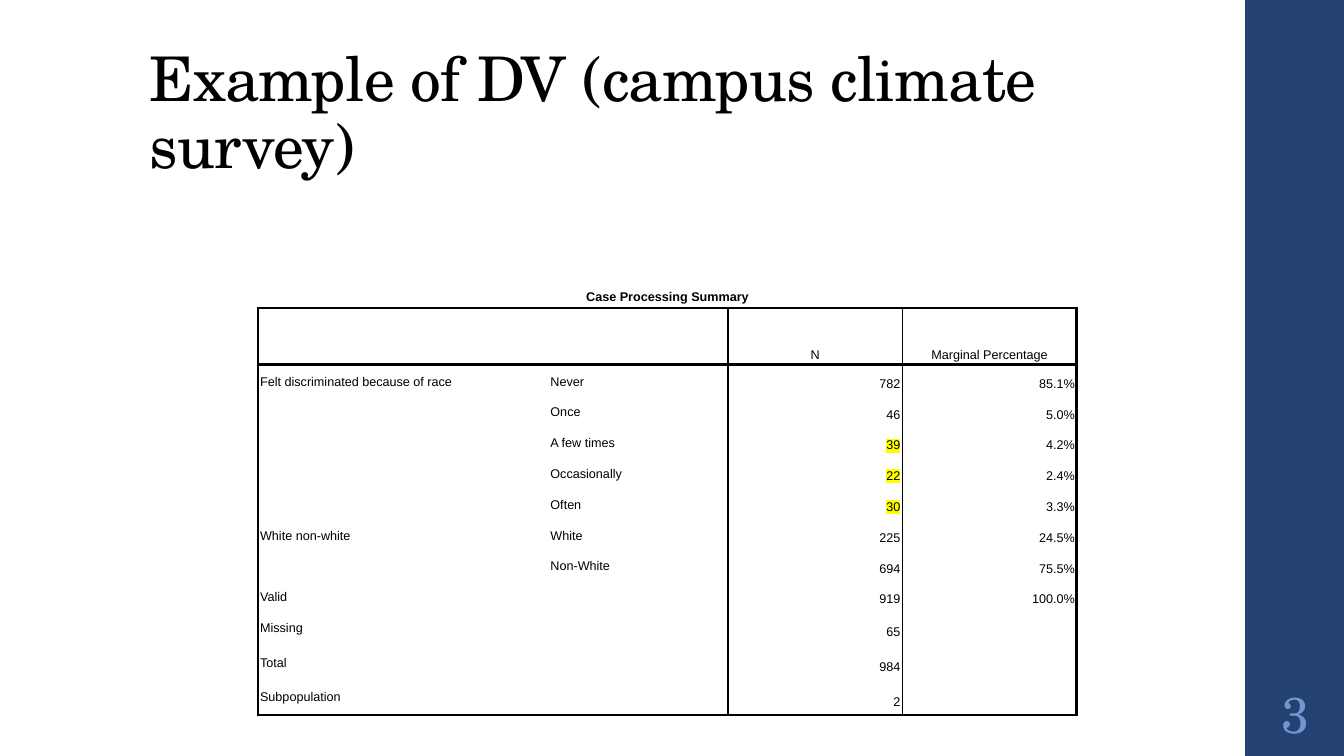
"""Build the slide with the case processing summary of the campus climate survey."""
from lxml.etree import SubElement
from pptx import Presentation
from pptx.dml.color import RGBColor
from pptx.enum.shapes import MSO_SHAPE as Shape
from pptx.enum.text import MSO_ANCHOR as Anchor, MSO_AUTO_SIZE as AutoSize, PP_ALIGN as Align
from pptx.oxml.ns import qn
from pptx.util import Inches, Pt

SERIF = "TeX Gyre Schola"
COLUMN_WIDTHS = [2.88, 1.78, 1.73, 1.73]
TABLE_HEIGHT, HEADER_HEIGHT = 4.23, 0.56
COLUMN_RULES = [2.25, 0, 2.25, 1, 2.25]
ROW_RULES = {1: 2.25, 2: 2.25, 13: 2.25}
ROWS = [
    ["Case Processing Summary", "", "", ""],
    ["", "", "N", "Marginal Percentage"],
    ["Felt discriminated because of race", "Never", "782", "85.1%"],
    ["", "Once", "46", "5.0%"],
    ["", "A few times", "39", "4.2%"],
    ["", "Occasionally", "22", "2.4%"],
    ["", "Often", "30", "3.3%"],
    ["White non-white", "White", "225", "24.5%"],
    ["", "Non-White", "694", "75.5%"],
    ["Valid", "", "919", "100.0%"],
    ["Missing", "", "65", ""],
    ["Total", "", "984", ""],
    ["Subpopulation", "", "2", ""],
]
HIGHLIGHTED = ["39", "22", "30"]
MERGES = [(0, 0, 0, 3), (2, 0, 6, 0), (7, 0, 8, 0)] + [(row, 0, row, 1) for row in range(9, 13)]


def style(paragraph, size, font, color, align, bold=False):
    paragraph.alignment = align
    for run in paragraph.runs:
        run.font.size, run.font.name, run.font.bold = Pt(size), font, bold
        run.font.color.rgb = RGBColor.from_string(color)


def add_border(cell, side, width):
    line = SubElement(cell._tc.get_or_add_tcPr(), qn(f"a:ln{side}"), w=str(Pt(width)))
    if width:
        fill = SubElement(line, qn("a:solidFill"))
        SubElement(fill, qn("a:srgbClr"), val="000000")
    else:
        SubElement(line, qn("a:noFill"))


prs = Presentation()
prs.slide_width, prs.slide_height = Inches(13.33), Inches(7.5)
slide = prs.slides.add_slide(prs.slide_layouts[5])

sidebar = slide.shapes.add_shape(Shape.RECTANGLE, Inches(12.35), 0, Inches(1), Inches(7.5))
sidebar.shadow.inherit = False
sidebar.fill.solid()
sidebar.fill.fore_color.rgb = RGBColor.from_string("234271")
sidebar.line.fill.background()

title = slide.shapes.title
title.left, title.top, title.width, title.height = Inches(1.38), Inches(0.4), Inches(10.6), Inches(1.45)
title.text_frame.text = "Example of DV (campus climate survey)"
title.text_frame.auto_size = AutoSize.NONE
title.text_frame.vertical_anchor = Anchor.BOTTOM
heading = title.text_frame.paragraphs[0]
heading.line_spacing = 0.9
style(heading, 44, SERIF, "000000", Align.LEFT)
heading.runs[0].font._element.set("spc", "-50")

summary = slide.shapes.add_table(
    len(ROWS), len(COLUMN_WIDTHS), Inches(2.56), Inches(2.75),
    Inches(sum(COLUMN_WIDTHS)), Inches(TABLE_HEIGHT)).table
summary.first_row = summary.horz_banding = False
for column, width in zip(summary.columns, COLUMN_WIDTHS):
    column.width = Inches(width)
for row in summary.rows:
    row.height = Inches((TABLE_HEIGHT - HEADER_HEIGHT) / (len(ROWS) - 1))
summary.rows[1].height = Inches(HEADER_HEIGHT)
for top, left, bottom, right in MERGES:
    summary.cell(top, left).merge(summary.cell(bottom, right))

for r, texts in enumerate(ROWS):
    for c, text in enumerate(texts):
        cell = summary.cell(r, c)
        cell.margin_left = cell.margin_right = cell.margin_top = cell.margin_bottom = Inches(0.02)
        if r == 0:
            align, anchor = Align.CENTER, Anchor.MIDDLE
        elif r == 1:
            align, anchor = Align.CENTER, Anchor.BOTTOM
        elif c < 2:
            align, anchor = Align.LEFT, Anchor.TOP
        else:
            align, anchor = Align.RIGHT, Anchor.MIDDLE
        cell.vertical_anchor = anchor
        cell.text_frame.text = text
        paragraph = cell.text_frame.paragraphs[0]
        paragraph.line_spacing = Pt(16)
        style(paragraph, 9, "Arial", "000000", align, bold=r == 0)
        if c == 2 and text in HIGHLIGHTED:
            properties = paragraph.runs[0].font._element
            highlight = SubElement(properties, qn("a:highlight"))
            SubElement(highlight, qn("a:srgbClr"), val="FFFF00")
            properties.find(qn("a:latin")).addprevious(highlight)
        end = c + (cell.span_width if cell.is_merge_origin else 1)
        add_border(cell, "L", COLUMN_RULES[c] if r else 0)
        add_border(cell, "R", COLUMN_RULES[end] if r else 0)
        add_border(cell, "T", ROW_RULES.get(r, 0))
        add_border(cell, "B", ROW_RULES.get(r + 1, 0))
        cell.fill.solid()
        cell.fill.fore_color.rgb = RGBColor.from_string("FFFFFF")

page_number = slide.shapes.add_textbox(Inches(12.35), Inches(6.75), Inches(1), Inches(0.65)).text_frame
page_number.word_wrap = True
page_number.vertical_anchor = Anchor.MIDDLE
page_number.margin_left = page_number.margin_right = Inches(0.05)
page_number.text = "3"
style(page_number.paragraphs[0], 36, SERIF, "7097D3", Align.CENTER)

prs.save("out.pptx")
